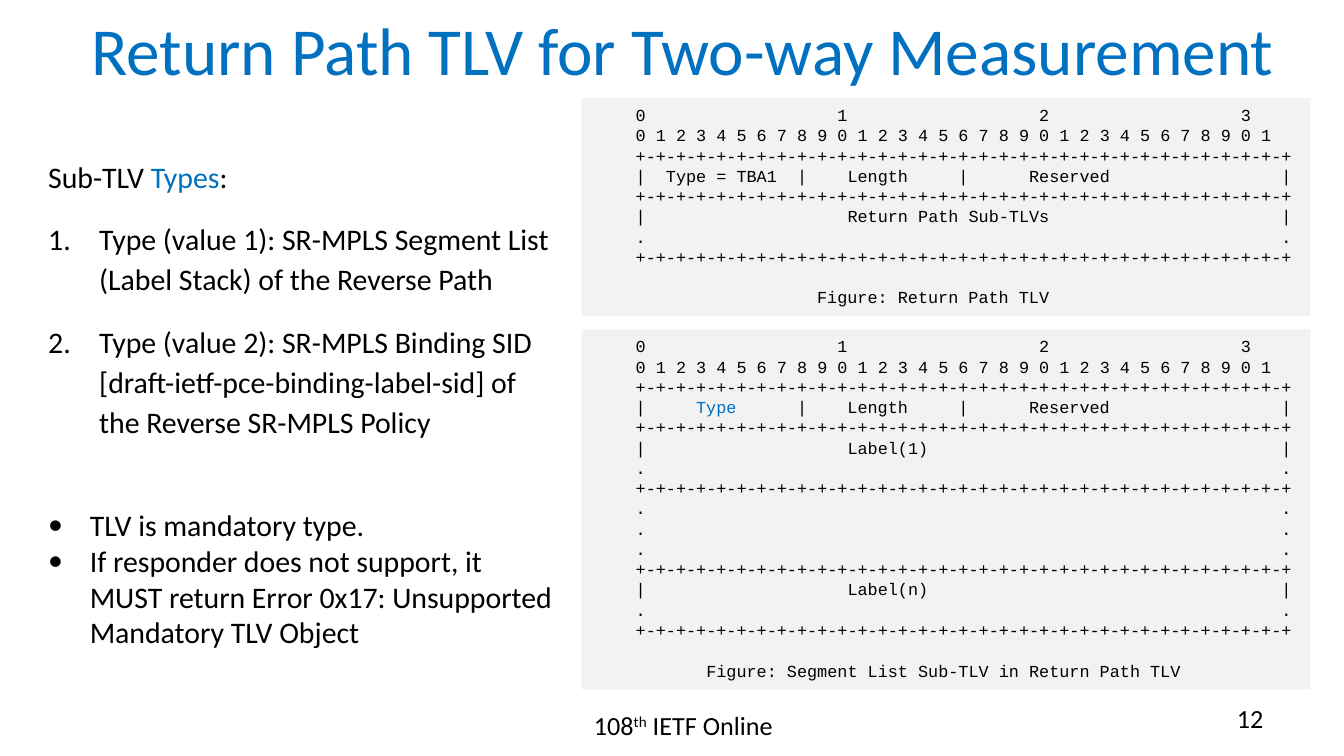
from lxml import etree
from pptx import Presentation
from pptx.dml.color import RGBColor
from pptx.enum.shapes import MSO_SHAPE
from pptx.enum.text import MSO_ANCHOR, MSO_AUTO_SIZE, PP_ALIGN
from pptx.oxml.ns import qn
from pptx.util import Inches, Pt

LEFT, CENTER, RIGHT = PP_ALIGN.LEFT, PP_ALIGN.CENTER, PP_ALIGN.RIGHT
TOP, MIDDLE = MSO_ANCHOR.TOP, MSO_ANCHOR.MIDDLE
FIXED_SIZE = MSO_AUTO_SIZE.NONE
RECTANGLE = MSO_SHAPE.RECTANGLE
TITLE_ONLY = 5
SLIDE_WIDTH = 10
SLIDE_HEIGHT = SLIDE_WIDTH * 9 / 16
BLACK, BLUE, GRAY = "000000", "0070C0", "F2F2F2"
BODY_FONT, CODE_FONT = "Calibri", "Courier New"
CODE_LINE = Pt(10.85)
CHARACTER_WIDTH = 0.075
NUMBER = [("a:buAutoNum", {"type": "arabicPeriod"})]
DOT = [("a:buFont", {"typeface": BODY_FONT}), ("a:buChar", {"char": "•"})]


def color(value):
    """Turn a hex string into a colour."""
    return RGBColor.from_string(value)


def prepare_frame(shape, anchor=TOP):
    """Make the text of a shape wrap in a box of fixed size."""
    frame = shape.text_frame
    formats = {"word_wrap": True, "auto_size": FIXED_SIZE, "vertical_anchor": anchor}
    for name, value in formats.items():
        setattr(frame, name, value)
    return frame


def add_text_box(slide, box):
    """Add a text box and return its frame."""
    return prepare_frame(slide.shapes.add_textbox(*map(Inches, box)))


def write_paragraph(frame, text, size, font=BODY_FONT, text_color=BLACK,
                    accent=None, **formats):
    """Write one paragraph, with the accent word in blue."""
    paragraph = frame.paragraphs[0]
    if paragraph.runs:
        paragraph = frame.add_paragraph()
    for name, value in {"alignment": LEFT, **formats}.items():
        setattr(paragraph, name, value)
    for part in text.partition(accent) if accent else [text]:
        if part:
            run = paragraph.add_run()
            run.text = part
            run.font.name = font
            run.font.size = Pt(size)
            run.font.color.rgb = color(BLUE if part == accent else text_color)
    return paragraph


def indent(paragraph, margin, bullet=()):
    """Indent a paragraph, hanging behind a bullet if one is given."""
    properties = paragraph._p.get_or_add_pPr()
    properties.set("marL", str(Inches(margin)))
    if bullet:
        properties.set("indent", str(-Inches(margin)))
    for tag, attributes in bullet:
        etree.SubElement(properties, qn(tag), attributes)


def field_row(*fields):
    """Draw packet fields, each given as offset, label and width in bits."""
    cells = [(" " * offset + label).ljust(2 * bits - 1)
             for offset, label, bits in fields]
    return "|" + "|".join(cells) + "|"


def add_packet_figure(slide, box, rows, caption, caption_column, accent=None):
    """Add a gray panel with a 32-bit packet diagram and its caption."""
    panel = slide.shapes.add_shape(RECTANGLE, *map(Inches, box))
    panel.shadow.inherit = False
    panel.fill.solid()
    panel.fill.fore_color.rgb = color(GRAY)
    panel.line.fill.background()
    frame = prepare_frame(panel)
    frame.margin_left = Inches(0.1 + 4 * CHARACTER_WIDTH)
    ruler = [(" " * 19).join("0123"), " ".join(str(bit % 10) for bit in range(32))]
    style = {"size": 9, "font": CODE_FONT, "line_spacing": CODE_LINE}
    for row in ruler + rows:
        write_paragraph(frame, row, accent=accent, **style)
    paragraph = write_paragraph(frame, caption, space_before=CODE_LINE, **style)
    indent(paragraph, caption_column * CHARACTER_WIDTH)


def add_title(slide, box, text):
    """Place and fill the title placeholder."""
    title = slide.shapes.title
    title.left, title.top, title.width, title.height = map(Inches, box)
    write_paragraph(prepare_frame(title, MIDDLE), text, 36,
                    text_color=BLUE, alignment=CENTER)


def add_types(slide, box, heading, types):
    """Add the heading and the numbered sub-TLV types."""
    frame = add_text_box(slide, box)
    spacing = {"line_spacing": Pt(21.4), "space_before": Pt(6), "space_after": Pt(6)}
    write_paragraph(frame, heading, 16, accent="Types", **spacing)
    for text in types:
        indent(write_paragraph(frame, text, 16, **spacing), 0.38, NUMBER)


def add_notes_list(slide, box, items):
    """Add the bulleted list."""
    frame = add_text_box(slide, box)
    for text in items:
        indent(write_paragraph(frame, text, 16), 0.31, DOT)


def add_footer(slide, meeting_box, number_box, number):
    """Add the meeting name and the page number."""
    paragraph = write_paragraph(add_text_box(slide, meeting_box),
                                "108th IETF Online", 14, accent="th",
                                alignment=CENTER)
    ordinal = paragraph.runs[1]
    ordinal.font.color.rgb = color(BLACK)
    ordinal._r.get_or_add_rPr().set("baseline", "30000")
    write_paragraph(add_text_box(slide, number_box), number, 14, alignment=RIGHT)


def build():
    """Build and save the presentation."""
    presentation = Presentation()
    presentation.slide_width = Inches(SLIDE_WIDTH)
    presentation.slide_height = Inches(SLIDE_HEIGHT)
    slide = presentation.slides.add_slide(presentation.slide_layouts[TITLE_ONLY])

    add_title(slide, (0.49, -0.11, 9.18, 0.94),
              "Return Path TLV for Two-way Measurement")
    add_types(slide, (0.26, 1.1, 4.01, 2.19), "Sub-TLV Types:", [
        "Type (value 1): SR-MPLS Segment List (Label Stack) of the Reverse Path",
        "Type (value 2): SR-MPLS Binding SID [draft-ietf-pce-binding-label-sid] "
        "of the Reverse SR-MPLS Policy"])
    add_notes_list(slide, (0.26, 3.72, 4.01, 1.18), [
        "TLV is mandatory type.",
        "If responder does not support, it MUST return Error 0x17: "
        "Unsupported Mandatory TLV Object"])

    border = "+-" * 32 + "+"
    dots = "." + " " * 63 + "."
    length, reserved = (4, "Length", 8), (6, "Reserved", 16)

    def block(label):
        """Return the rows of one full-width field."""
        return [field_row((20, label, 32)), dots, border]

    def header(offset, label):
        """Return the rows of the type, length and reserved fields."""
        return [border, field_row((offset, label, 8), length, reserved), border]

    add_packet_figure(slide, (4.33, 0.73, 5.42, 1.62),
                      header(2, "Type = TBA1") + block("Return Path Sub-TLVs"),
                      "Figure: Return Path TLV", 18)
    add_packet_figure(slide, (4.33, 2.45, 5.42, 2.68),
                      header(5, "Type") + block("Label(1)")
                      + [dots] * 3 + [border] + block("Label(n)"),
                      "Figure: Segment List Sub-TLV in Return Path TLV", 7,
                      accent="Type")
    add_footer(slide, (3.5, 5.23, 3.17, 0.39), (7.17, 5.18, 2.33, 0.39), "12")
    presentation.save("out.pptx")


build()
